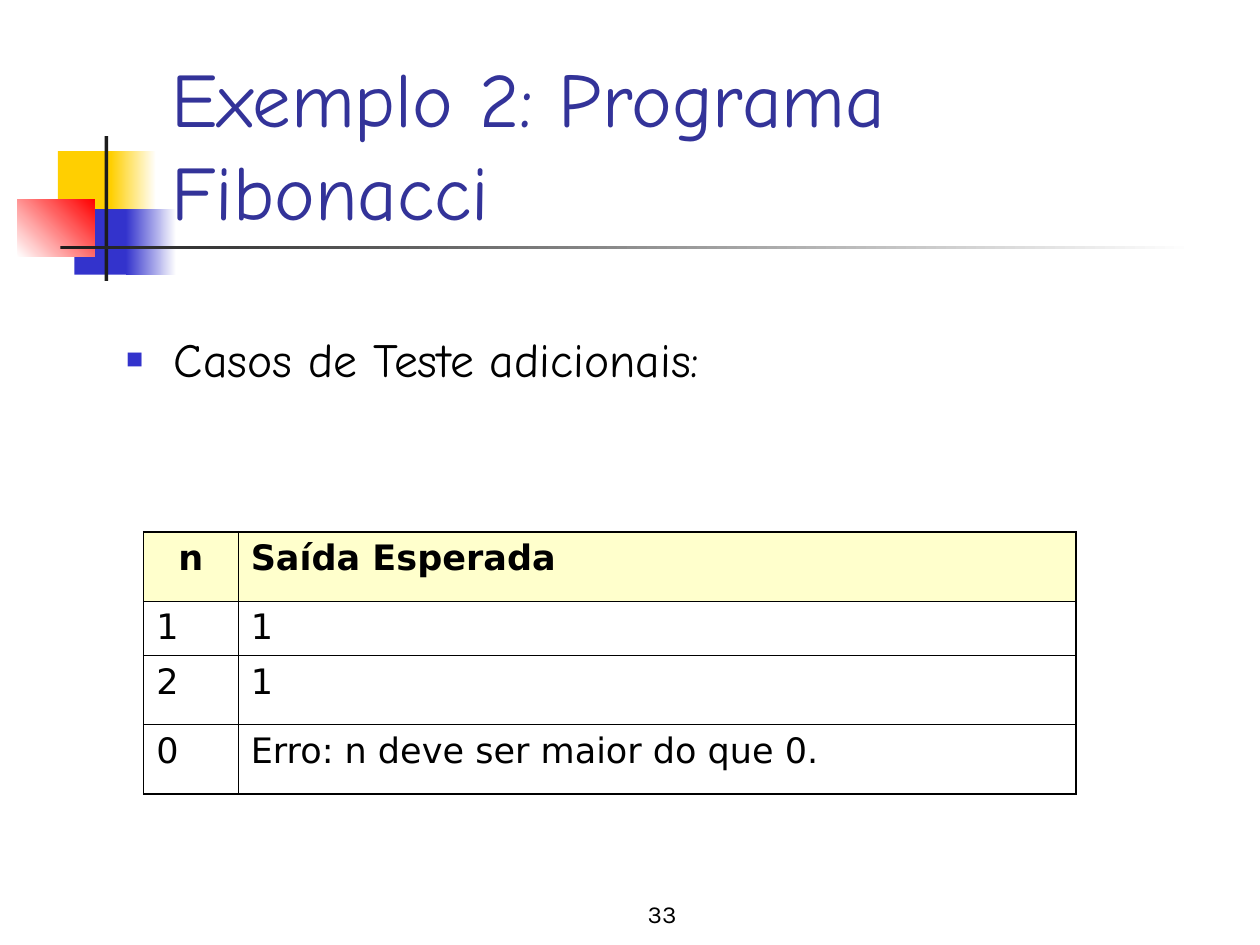
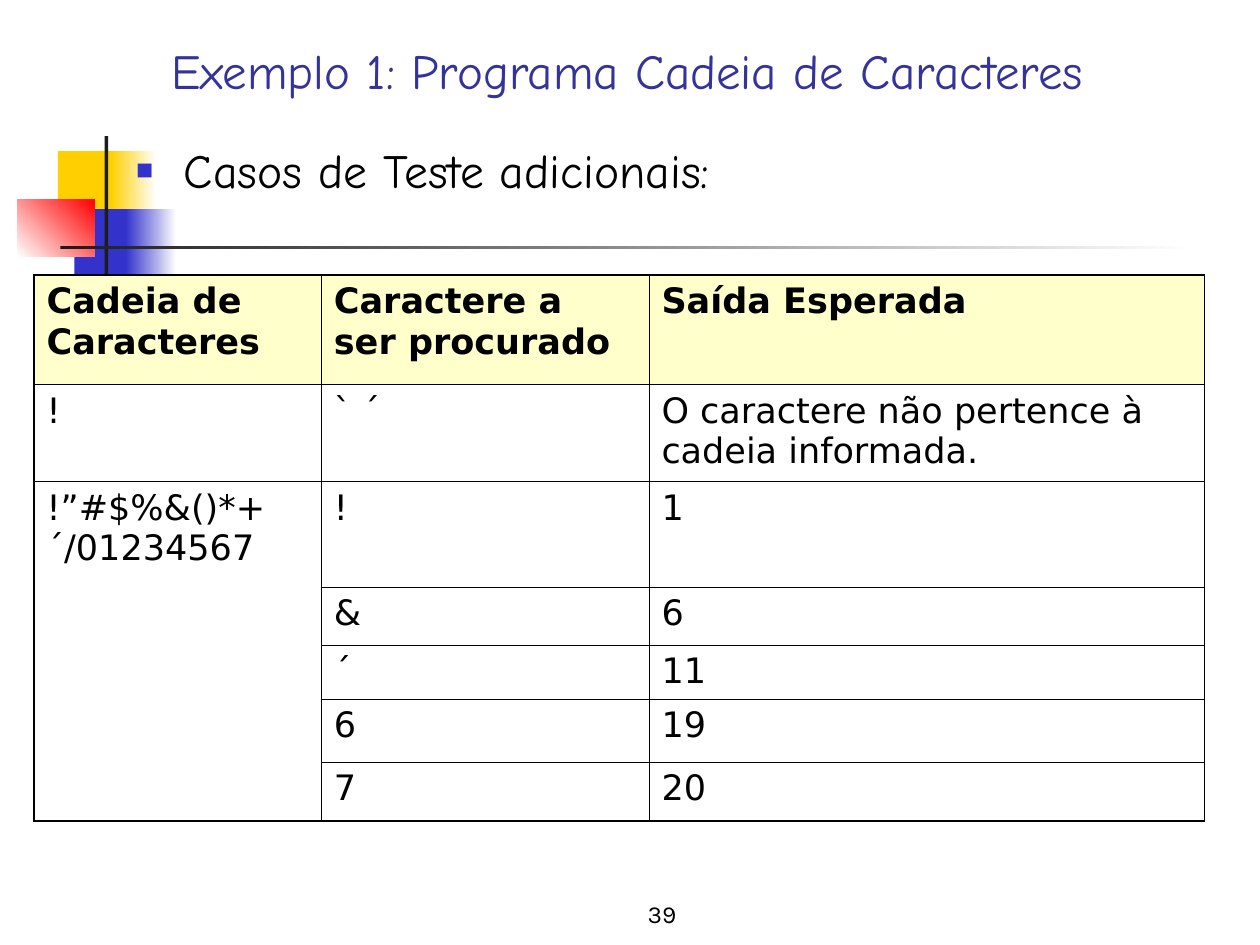
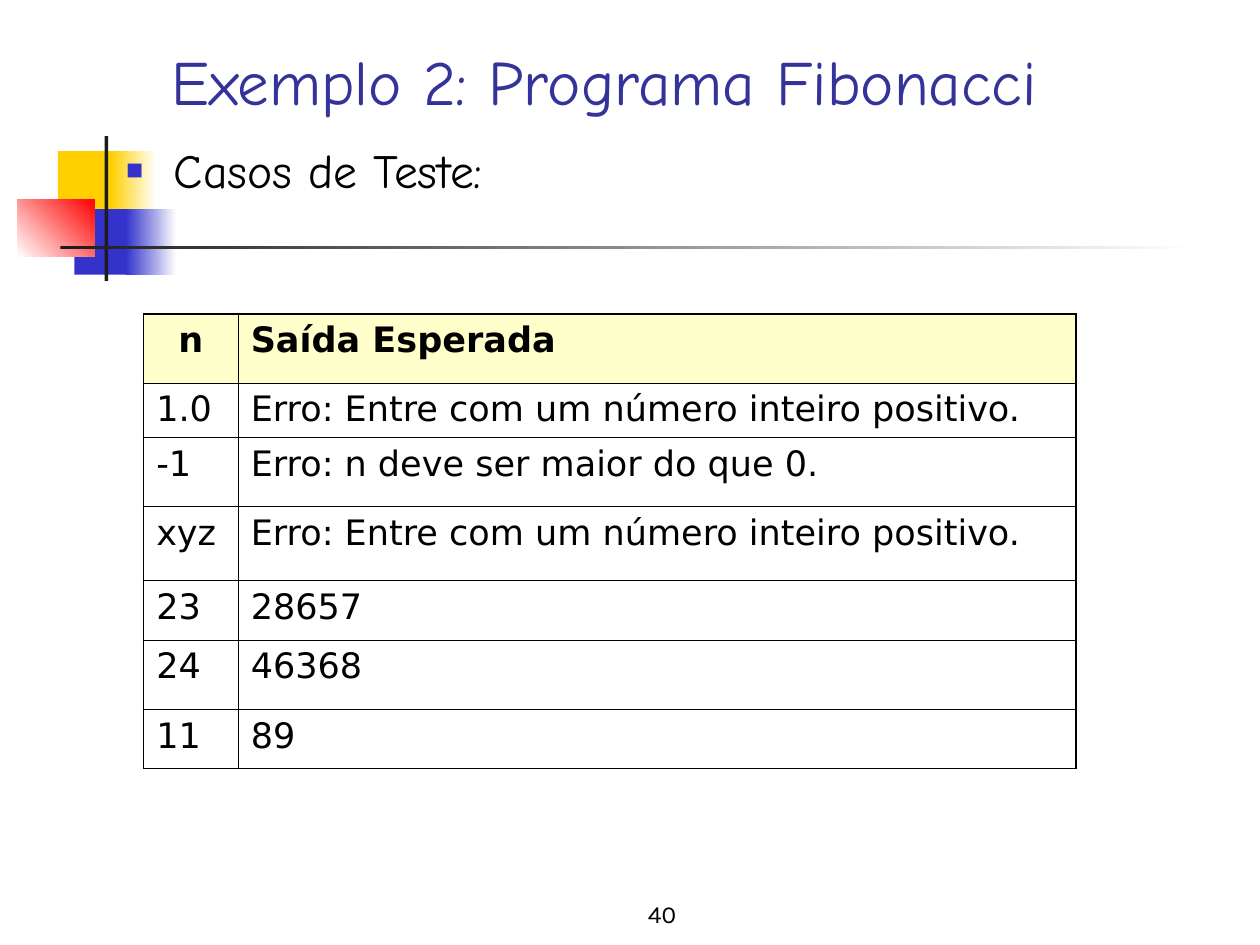
"""Build three slides of test-case tables for the example programs."""
from lxml import etree
from pptx import Presentation
from pptx.dml.color import RGBColor
from pptx.enum import shapes, text
from pptx.oxml import ns
from pptx.util import Inches, Pt

BLACK, WHITE, INK = "000000", "FFFFFF", "1C1C1C"
YELLOW, BLUE, RED = "FFCF01", "3333CC", "FF0000"
TITLE_COLOR, HEADER_FILL = "333399", "FFFFCC"
TITLE_FONT, TABLE_FONT, NUMBER_FONT = "Comic Neue", "DejaVu Sans", "Karla"
OUTER, INNER = 1.08, 0.45

# left, top, width, height, colours, gradient angle
EMBLEM = [
    (0.46, 1.2, 0.48, 0.52, [YELLOW], 0),
    (0.88, 1.2, 0.36, 0.52, [YELLOW, WHITE], 0),
    (0.59, 1.66, 0.46, 0.52, [BLUE], 0),
    (1, 1.66, 0.4, 0.52, [BLUE, WHITE], 0),
    (0.14, 1.58, 0.61, 0.46, [WHITE, RED], 45),
    (0.83, 1.08, 0.03, 1.15, [INK], 0),
    (0.48, 1.95, 9, 0.03, [INK, WHITE], 0),
]
NUMBER_BOX = (3.67, 6.92, 3.17, 0.5)

FIBONACCI = {"left": 1.14, "cols": [0.75, 6.65], "centered": "n"}
NOT_INTEGER = "Erro: Entre com um número inteiro positivo."
NOT_POSITIVE = "Erro: n deve ser maior do que 0."

SLIDES = [
    {
        "number": "33",
        "title": ("Exemplo 2: Programa Fibonacci", 44, (1.26, 0.67, 8.52, 1.25)),
        "topic": ("Casos de Teste adicionais:", (0.9, 2.57, 8.1, 0.59)),
        "table": FIBONACCI | {
            "top": 4.22,
            "heights": [0.55, 0.43, 0.55, 0.55],
            "rows": [("n", "Saída Esperada"), ("1", "1"), ("2", "1"), ("0", NOT_POSITIVE)],
        },
    },
    {
        "number": "39",
        "title": ("Exemplo 1: Programa Cadeia de Caracteres", 28, (1.26, 0.28, 8.52, 0.56)),
        "topic": ("Casos de Teste adicionais:", (0.98, 1.07, 8.1, 0.59)),
        "table": {
            "left": 0.27,
            "top": 2.18,
            "cols": [2.28, 2.6, 4.41],
            "heights": [0.87, 0.77, 0.84, 0.46, 0.43, 0.5, 0.47],
            "merge": ((2, 0), (6, 0)),
            "rows": [
                ("Cadeia de Caracteres", "Caractere a ser procurado", "Saída Esperada"),
                ("!", "` ´", "O caractere não pertence à cadeia informada."),
                ("!”#$%&()*+´/01234567", "!", "1"),
                (None, "&", "6"),
                (None, "´", "11"),
                (None, "6", "19"),
                (None, "7", "20"),
            ],
        },
    },
    {
        "number": "40",
        "title": ("Exemplo 2: Programa Fibonacci", 36, (1.26, 0.36, 8.52, 0.63)),
        "topic": ("Casos de Teste:", (0.9, 1.07, 8.1, 0.59)),
        "table": FIBONACCI | {
            "top": 2.49,
            "heights": [0.55, 0.43, 0.55, 0.59, 0.47, 0.55, 0.47],
            "rows": [
                ("n", "Saída Esperada"),
                ("1.0", NOT_INTEGER),
                ("-1", NOT_POSITIVE),
                ("xyz", NOT_INTEGER),
                ("23", "28657"),
                ("24", "46368"),
                ("11", "89"),
            ],
        },
    },
]


def rgb(value):
    return RGBColor.from_string(value)


def inches(values):
    return [Inches(value) for value in values]


def write(frame, words, size, font, color, align=text.PP_ALIGN.LEFT, bold=False):
    paragraph = frame.paragraphs[0]
    paragraph.alignment = align
    paragraph.space_before = Pt(0)
    run = paragraph.add_run()
    run.text = words
    run.font.size, run.font.name, run.font.bold = Pt(size), font, bold
    run.font.color.rgb = rgb(color)
    return paragraph


def place(holder, box, anchor):
    holder.left, holder.top, holder.width, holder.height = inches(box)
    frame = holder.text_frame
    frame.word_wrap = True
    frame.auto_size = text.MSO_AUTO_SIZE.NONE
    frame.vertical_anchor = anchor
    return frame


def add_emblem(slide, master):
    """Draw the coloured squares and rules, then hand them to the master."""
    for *box, colors, angle in EMBLEM:
        part = slide.shapes.add_shape(shapes.MSO_SHAPE.RECTANGLE, *inches(box))
        part.shadow.inherit = False
        part.line.fill.background()
        if len(colors) == 1:
            part.fill.solid()
            part.fill.fore_color.rgb = rgb(colors[0])
        else:
            part.fill.gradient()
            part.fill.gradient_angle = angle
            for stop, color in zip(part.fill.gradient_stops, colors):
                stop.color.rgb = rgb(color)
        master.shapes.element.append(part.element)


def add_bullet(paragraph):
    props = paragraph._p.get_or_add_pPr()
    props.set("marL", str(Inches(0.38)))
    props.set("indent", str(-Inches(0.38)))
    color = etree.SubElement(props, ns.qn("a:buClr"))
    etree.SubElement(color, ns.qn("a:srgbClr"), val=BLUE)
    etree.SubElement(props, ns.qn("a:buSzPct"), val="60000")
    etree.SubElement(props, ns.qn("a:buChar"), char="■")


def add_borders(cell, outer):
    """Give outer sides the heavy line and visible inner sides the thin one."""
    props = cell._tc.get_or_add_tcPr()
    sides = [side for side in "LRTB" if side in outer or not cell.is_spanned]
    for position, side in enumerate(sides):
        width = OUTER if side in outer else INNER
        line = etree.Element(ns.qn(f"a:ln{side}"), w=str(Pt(width)))
        fill = etree.SubElement(line, ns.qn("a:solidFill"))
        etree.SubElement(fill, ns.qn("a:srgbClr"), val=BLACK)
        props.insert(position, line)


def add_cases(slide, cases):
    rows, cols, heights = cases["rows"], cases["cols"], cases["heights"]
    box = (cases["left"], cases["top"], sum(cols), sum(heights))
    table = slide.shapes.add_table(len(rows), len(cols), *inches(box)).table
    table.first_row = table.horz_banding = False
    for column, width in zip(table.columns, cols):
        column.width = Inches(width)
    for row, height in zip(table.rows, heights):
        row.height = Inches(height)
    if "merge" in cases:
        first, last = cases["merge"]
        table.cell(*first).merge(table.cell(*last))
    for r, row in enumerate(rows):
        for c, words in enumerate(row):
            cell = table.cell(r, c)
            if r == 0:
                cell.fill.solid()
                cell.fill.fore_color.rgb = rgb(HEADER_FILL)
            else:
                cell.fill.background()
            if words is not None:
                centered = words == cases.get("centered")
                align = text.PP_ALIGN.CENTER if centered else text.PP_ALIGN.LEFT
                write(cell.text_frame, words, 20, TABLE_FONT, BLACK, align, r == 0)
            bottom = r + (cell.span_height if cell.is_merge_origin else 1)
            edges = {"L": c == 0, "R": c == len(cols) - 1,
                     "T": r == 0, "B": bottom == len(rows)}
            add_borders(cell, [side for side, on_edge in edges.items() if on_edge])


def add_slide(prs, content):
    slide = prs.slides.add_slide(prs.slide_layouts[1])
    title, size, box = content["title"]
    frame = place(slide.shapes.title, box, text.MSO_ANCHOR.BOTTOM)
    write(frame, title, size, TITLE_FONT, TITLE_COLOR)
    topic, box = content["topic"]
    frame = place(slide.placeholders[1], box, text.MSO_ANCHOR.TOP)
    add_bullet(write(frame, topic, 27.2, TITLE_FONT, BLACK))
    number = slide.shapes.add_textbox(*inches(NUMBER_BOX))
    frame = place(number, NUMBER_BOX, text.MSO_ANCHOR.BOTTOM)
    write(frame, content["number"], 14, NUMBER_FONT, BLACK, text.PP_ALIGN.CENTER)
    add_cases(slide, content["table"])
    return slide


def main():
    prs = Presentation()
    prs.slide_width, prs.slide_height = Inches(10), Inches(7.5)
    slides = [add_slide(prs, content) for content in SLIDES]
    add_emblem(slides[0], prs.slide_master)
    prs.save("out.pptx")


if __name__ == "__main__":
    main()
